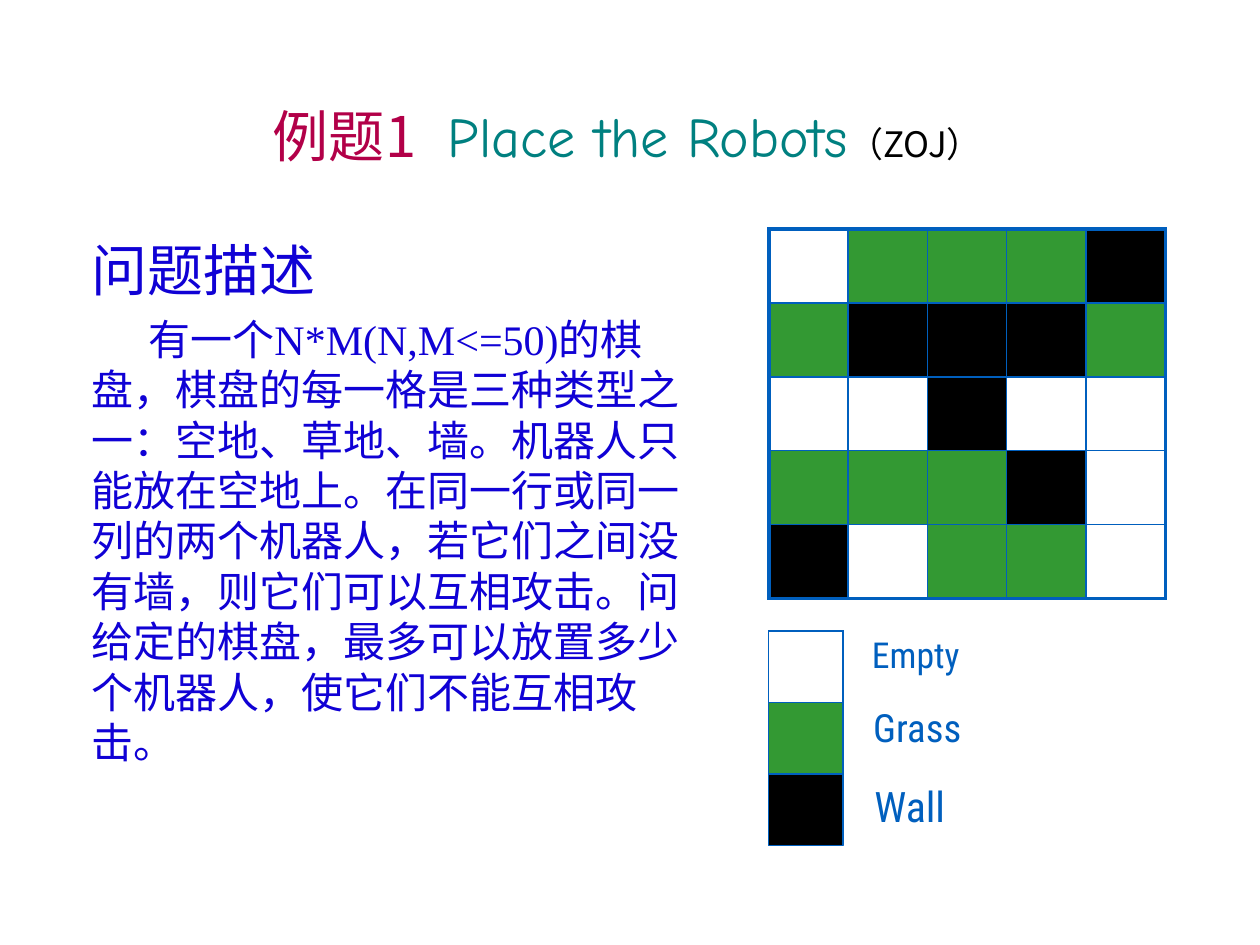
from dataclasses import dataclass

from lxml.etree import SubElement
from pptx import Presentation
from pptx.dml.color import RGBColor
from pptx.enum.shapes import MSO_CONNECTOR, MSO_SHAPE
from pptx.enum.text import MSO_ANCHOR, PP_ALIGN
from pptx.oxml.ns import qn
from pptx.util import Inches, Pt


@dataclass(frozen=True)
class Theme:
    """Colours, fonts and type sizes of the slide."""
    red: str = "B20048"
    teal: str = "008080"
    ink: str = "1001D5"
    blue: str = "005FBE"
    black: str = "000000"
    green: str = "339933"
    han: str = "Noto Sans CJK SC"
    comic: str = "Comic Neue"
    serif: str = "Times New Roman"
    label: str = "Roboto Condensed"
    head: float = 32
    body: float = 24
    note: float = 20
    thin: float = 0.75
    edge: float = 1
    thick: float = 2.25


THEME = Theme()
FILLS = {".": None, "G": THEME.green, "W": THEME.black}
BOARD = [".GGGW", "GWWWG", "..W..", "GGGW.", "W.GG."]
KEYS = [("Empty", ".", 20.4, 0.9), ("Grass", "G", 22.2, 0.9), ("Wall", "W", 24, 1)]


def add_run(para, text, size, font, color, gap=0):
    """Append a styled run, with optional letter spacing in points."""
    run = para.add_run()
    run.text = text
    run.font.size = Pt(size)
    run.font.name = font
    run.font.color.rgb = RGBColor.from_string(color)
    props = run.font._element
    SubElement(props, qn("a:ea")).set("typeface", THEME.han)
    if gap:
        props.set("spc", str(gap * 100))


def add_text(shapes, box, inset=0.1):
    """Add a wrapping text box and return its frame."""
    frame = shapes.add_textbox(*map(Inches, box)).text_frame
    frame.word_wrap = True
    frame.margin_left = Inches(inset)
    return frame


def add_cell(shapes, box, kind):
    """Draw one square of the given kind."""
    cell = shapes.add_shape(MSO_SHAPE.RECTANGLE, *map(Inches, box))
    cell.shadow.inherit = False
    if FILLS[kind]:
        cell.fill.solid()
        cell.fill.fore_color.rgb = RGBColor.from_string(FILLS[kind])
    else:
        cell.fill.background()
    cell.line.color.rgb = RGBColor.from_string(THEME.blue)
    cell.line.width = Pt(THEME.thin)


def add_frame(shapes, box, width):
    """Outline a box with four square-capped lines."""
    x, y, w, h = box
    right, low = x + w, y + h
    sides = [(x, y, right, y), (x, low, right, low), (x, y, x, low), (right, y, right, low)]
    for ends in sides:
        line = shapes.add_connector(MSO_CONNECTOR.STRAIGHT, *map(Inches, ends))
        line.line.color.rgb = RGBColor.from_string(THEME.blue)
        line.line.width = Pt(width)
        props = line._element.spPr
        props.find(qn("a:ln")).set("cap", "sq")
        SubElement(props, qn("a:effectLst"))


def add_title(slide, box):
    """Place the centred title."""
    frame = add_text(slide.shapes, box)
    frame.vertical_anchor = MSO_ANCHOR.MIDDLE
    para = frame.paragraphs[0]
    para.alignment = PP_ALIGN.CENTER
    add_run(para, "例题1", THEME.head, THEME.han, THEME.red)
    add_run(para, " ", THEME.head, THEME.han, THEME.red, 11)
    add_run(para, "Place the Robots", THEME.head, THEME.comic, THEME.teal)
    add_run(para, "（ZOJ）", THEME.note, THEME.han, THEME.black)


def add_body(slide, box):
    """Place the problem heading and its description."""
    frame = add_text(slide.shapes, box)
    add_run(frame.paragraphs[0], "问题描述", THEME.head, THEME.han, THEME.ink)
    para = frame.add_paragraph()
    para.space_before = Pt(6)
    props = para._p.get_or_add_pPr()
    props.set("indent", str(Inches(0.45)))
    props.set("hangingPunct", "0")
    text = (
        "有一个N*M(N,M<=50)的棋盘，棋盘的每一格是三种类型之一：空地、草地、墙。"
        "机器人只能放在空地上。在同一行或同一列的两个机器人，若它们之间没有墙，"
        "则它们可以互相攻击。问给定的棋盘，最多可以放置多少个机器人，使它们不能互相攻击。"
    )
    add_run(para, text, THEME.body, THEME.serif, THEME.ink)


def add_board(slide, box):
    """Draw the board of cells inside a thick frame."""
    shapes = slide.shapes.add_group_shape().shapes
    x, y, w, h = box
    high = h / len(BOARD)
    for row, kinds in reversed(list(enumerate(BOARD))):
        wide = w / len(kinds)
        for col, kind in reversed(list(enumerate(kinds))):
            add_cell(shapes, (x + col * wide, y + row * high, wide, high), kind)
    add_frame(shapes, box, THEME.thick)


def add_legend(slide, box):
    """Draw the key of cell kinds with a label beside each."""
    shapes = slide.shapes.add_group_shape().shapes
    x, y, w, h = box
    high, wide = h / len(KEYS), w / 3
    for row, (name, kind, size, space) in reversed(list(enumerate(KEYS))):
        top = y + row * high
        frame = add_text(shapes, (x + wide, top, w - wide, high), 0.23 + row * 0.01)
        para = frame.paragraphs[0]
        para.line_spacing = space
        add_run(para, name, size, THEME.label, THEME.blue)
        add_cell(shapes, (x, top, wide, high), kind)
    add_frame(shapes, (x, y, wide, high), THEME.edge)


def main():
    """Build the slide and save it."""
    deck = Presentation()
    deck.slide_width, deck.slide_height = Inches(10), Inches(7.5)
    slide = deck.slides.add_slide(deck.slide_layouts[6])
    add_title(slide, (0.31, 0.56, 9.34, 1.02))
    add_body(slide, (0.63, 1.82, 5.12, 4.85))
    add_board(slide, (6.1, 1.82, 3.15, 2.93))
    add_legend(slide, (6.1, 5.01, 1.77, 1.7))
    deck.save("out.pptx")


if __name__ == "__main__":
    main()
